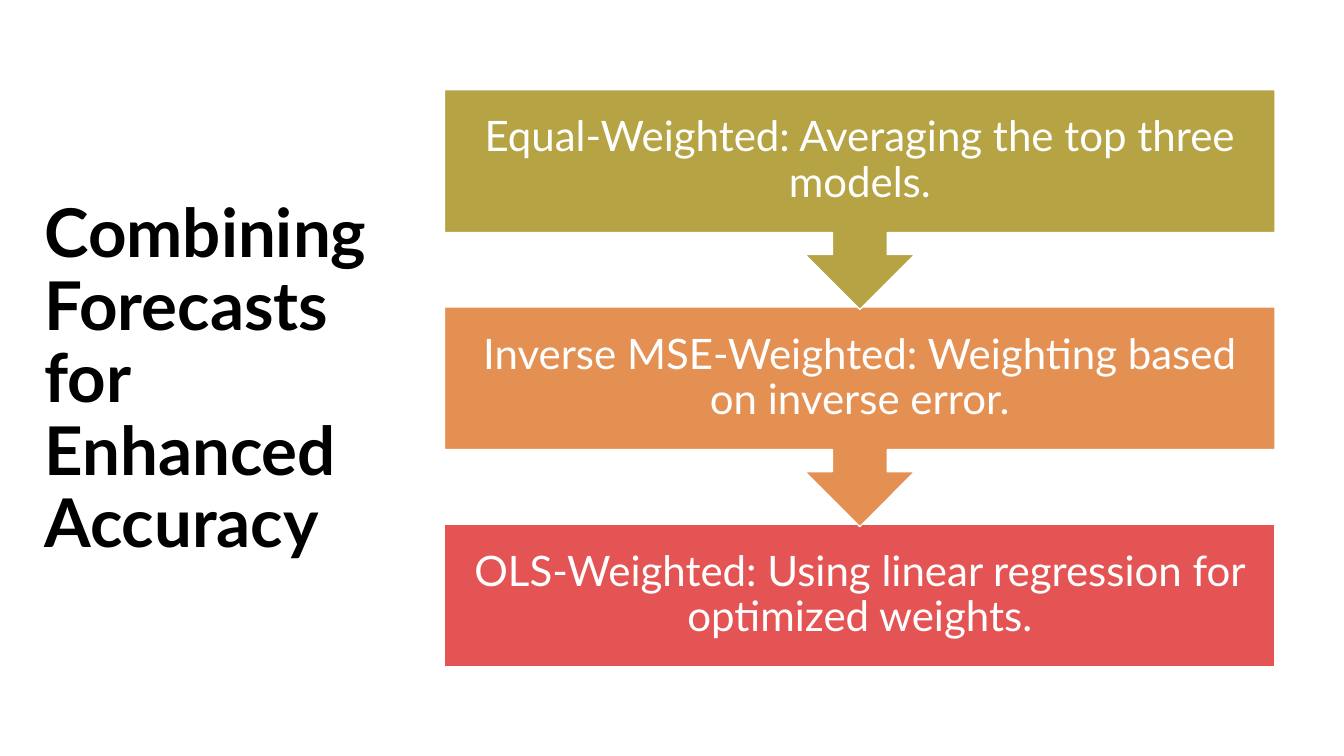
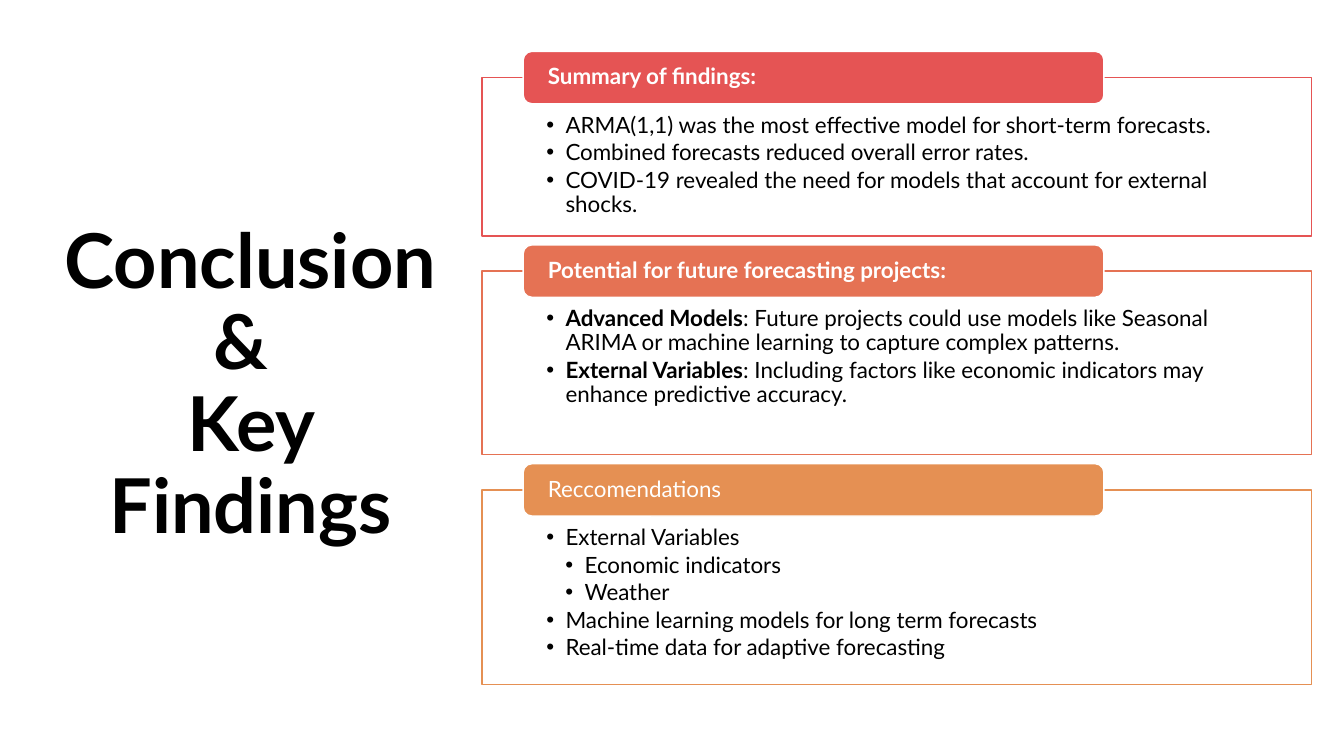
from dataclasses import dataclass

from lxml.etree import SubElement
from pptx import Presentation
from pptx.dml.color import RGBColor
from pptx.enum.shapes import MSO_SHAPE
from pptx.enum.text import MSO_ANCHOR, MSO_AUTO_SIZE, PP_ALIGN
from pptx.oxml.ns import qn
from pptx.presentation import Presentation as Deck
from pptx.shapes.base import BaseShape
from pptx.slide import Slide
from pptx.text.text import TextFrame, _Paragraph as Paragraph
from pptx.util import Inches, Length, Pt


# Shared look
@dataclass(frozen=True)
class Theme:
    font: str = "Lato"
    black: RGBColor = RGBColor(0x00, 0x00, 0x00)
    white: RGBColor = RGBColor(0xFF, 0xFF, 0xFF)
    red: RGBColor = RGBColor(0xE5, 0x54, 0x54)
    coral: RGBColor = RGBColor(0xE5, 0x72, 0x54)
    orange: RGBColor = RGBColor(0xE5, 0x90, 0x53)
    olive: RGBColor = RGBColor(0xB6, 0xA3, 0x43)
    step_size: int = 30
    panel_size: int = 16
    line_spacing: float = 0.9
    bullet_gap: float = 2.4
    outline: int = 1


THEME = Theme()
SLIDE_WIDTH, SLIDE_HEIGHT = Inches(13.33), Inches(7.5)
TITLE_ONLY, COMPARISON = 5, 4  # layouts of the default template


@dataclass(frozen=True)
class Box:
    """A frame in percent of the slide's width and height."""

    left: float
    top: float
    width: float
    height: float

    def frame(self) -> tuple[Length, ...]:
        return (
            Length(round(SLIDE_WIDTH * self.left / 100)),
            Length(round(SLIDE_HEIGHT * self.top / 100)),
            Length(round(SLIDE_WIDTH * self.width / 100)),
            Length(round(SLIDE_HEIGHT * self.height / 100)),
        )


@dataclass(frozen=True)
class Step:
    text: str
    color: RGBColor
    shape_type: MSO_SHAPE = MSO_SHAPE.DOWN_ARROW_CALLOUT


@dataclass(frozen=True)
class Bullet:
    text: str
    lead: str = ""  # bold opening words
    level: int = 0


@dataclass(frozen=True)
class Panel:
    heading: str
    color: RGBColor
    height: float
    bullets: tuple[Bullet, ...]
    bold_heading: bool = True


# Content
STEPS = (
    Step("Equal-Weighted: Averaging the top three models.", THEME.olive),
    Step("Inverse MSE-Weighted: Weighting based on inverse error.", THEME.orange),
    Step("OLS-Weighted: Using linear regression for optimized weights.",
         THEME.red, MSO_SHAPE.RECTANGLE),
)

PANELS = (
    Panel("Summary of findings:", THEME.red, 20.93, (
        Bullet("ARMA(1,1) was the most effective model for short-term forecasts."),
        Bullet("Combined forecasts reduced overall error rates."),
        Bullet("COVID-19 revealed the need for models that account for external shocks."),
    )),
    Panel("Potential for future forecasting projects:", THEME.coral, 24.27, (
        Bullet(": Future projects could use models like Seasonal ARIMA or machine "
               "learning to capture complex patterns.", "Advanced Models"),
        Bullet(": Including factors like economic indicators may enhance "
               "predictive accuracy.", "External Variables"),
    )),
    Panel("Reccomendations", THEME.orange, 25.73, (
        Bullet("External Variables"),
        Bullet("Economic indicators", level=1),
        Bullet("Weather", level=1),
        Bullet("Machine learning models for long term forecasts"),
        Bullet("Real-time data for adaptive forecasting"),
    ), bold_heading=False),
)


# Formatting helpers
def place(shape: BaseShape, box: Box) -> None:
    shape.left, shape.top, shape.width, shape.height = box.frame()


def paint(shape: BaseShape, fill: RGBColor, line: RGBColor) -> None:
    shape.fill.solid()
    shape.fill.fore_color.rgb = fill
    shape.line.color.rgb = line
    shape.line.width = Pt(THEME.outline)


def set_frame(text_frame: TextFrame, anchor: MSO_ANCHOR,
              insets: tuple[float, float, float, float]) -> None:
    """Set wrapping, anchor and the left, top, right and bottom insets in inches."""
    text_frame.word_wrap = True
    text_frame.auto_size = MSO_AUTO_SIZE.NONE
    text_frame.vertical_anchor = anchor
    (text_frame.margin_left, text_frame.margin_top,
     text_frame.margin_right, text_frame.margin_bottom) = map(Inches, insets)


def format_paragraph(paragraph: Paragraph, size: int, color: RGBColor,
                     align: PP_ALIGN = PP_ALIGN.LEFT, bold: bool = False) -> None:
    paragraph.alignment = align
    paragraph.line_spacing = THEME.line_spacing
    paragraph.space_before = Pt(0)
    for run in paragraph.runs:
        run.font.name = THEME.font
        run.font.size = Pt(size)
        run.font.bold = bold
        run.font.color.rgb = color


def add_bullet_mark(paragraph: Paragraph, level: int) -> None:
    indent = Inches(0.19)
    properties = paragraph._p.get_or_add_pPr()
    properties.set("marL", str(indent * (level + 1)))
    properties.set("indent", str(-indent))
    SubElement(properties, qn("a:buFont")).set("typeface", "Arial")
    SubElement(properties, qn("a:buChar")).set("char", "•")


# Drawing functions
def draw_title(slide: Slide, text: str, box: Box, size: int, align: PP_ALIGN) -> None:
    title = slide.shapes.title
    place(title, box)
    title.text_frame.text = text
    set_frame(title.text_frame, MSO_ANCHOR.MIDDLE, (0.1, 0.05, 0.1, 0.05))
    format_paragraph(title.text_frame.paragraphs[0], size, THEME.black, align, bold=True)


def draw_filled_shape(slide: Slide, shape_type: MSO_SHAPE, box: Box,
                      color: RGBColor, text: str) -> BaseShape:
    shape = slide.shapes.add_shape(shape_type, *box.frame())
    shape.shadow.inherit = False
    paint(shape, color, THEME.white)
    shape.text_frame.text = text
    return shape


def draw_step(slide: Slide, step: Step, box: Box) -> None:
    shape = draw_filled_shape(slide, step.shape_type, box, step.color, step.text)
    set_frame(shape.text_frame, MSO_ANCHOR.MIDDLE, (0.23,) * 4)
    format_paragraph(shape.text_frame.paragraphs[0], THEME.step_size,
                     THEME.white, PP_ALIGN.CENTER)


def draw_list(body: BaseShape, panel: Panel, box: Box) -> None:
    place(body, box)
    paint(body, THEME.white, panel.color)
    text_frame = body.text_frame
    set_frame(text_frame, MSO_ANCHOR.TOP, (0.64, 0.36, 0.64, 0.12))
    for index, bullet in enumerate(panel.bullets):
        paragraph = text_frame.add_paragraph() if index else text_frame.paragraphs[0]
        paragraph.text = bullet.lead or bullet.text
        if bullet.lead:
            paragraph.add_run().text = bullet.text
        paragraph.level = bullet.level
        format_paragraph(paragraph, THEME.panel_size, THEME.black)
        paragraph.runs[0].font.bold = bool(bullet.lead)
        paragraph.space_after = Pt(THEME.bullet_gap)
        add_bullet_mark(paragraph, bullet.level)


def draw_heading(slide: Slide, panel: Panel, box: Box) -> None:
    label_box = Box(box.left + 3.08, box.top - 3.47, box.width * 0.7, 6.93)
    label = draw_filled_shape(slide, MSO_SHAPE.ROUNDED_RECTANGLE, label_box,
                              panel.color, panel.heading)
    set_frame(label.text_frame, MSO_ANCHOR.MIDDLE, (0.22, 0, 0.22, 0))
    format_paragraph(label.text_frame.paragraphs[0], THEME.panel_size,
                     THEME.white, bold=panel.bold_heading)


# Slides
def build_combining_slide(presentation: Deck) -> None:
    slide = presentation.slides.add_slide(presentation.slide_layouts[TITLE_ONLY])
    draw_title(slide, "Combining Forecasts for Enhanced Accuracy",
               Box(2.55, 12.53, 28.05, 75.73), 48, PP_ALIGN.LEFT)
    first_top, pitch = 11.87, 28.73
    # Last step first, so that each arrow lies over the step below it
    for row, step in reversed(list(enumerate(STEPS))):
        height = 18.9 if step.shape_type == MSO_SHAPE.RECTANGLE else 29.07
        draw_step(slide, step, Box(33.08, first_top + row * pitch, 61.8, height))


def build_conclusion_slide(presentation: Deck) -> None:
    slide = presentation.slides.add_slide(presentation.slide_layouts[COMPARISON])
    draw_title(slide, "Conclusion & \vKey Findings",
               Box(2.4, 23.6, 32.48, 54.93), 54, PP_ALIGN.CENTER)
    bodies = [shape for shape in slide.placeholders if shape.placeholder_format.idx > 0]
    top, gap = 10.27, 4.67
    for body, panel in zip(bodies, PANELS):
        box = Box(35.85, top, 61.73, panel.height)
        draw_list(body, panel, box)
        draw_heading(slide, panel, box)
        top += panel.height + gap
    for unused in bodies[len(PANELS):]:
        unused.element.getparent().remove(unused.element)


def main() -> None:
    presentation = Presentation()
    presentation.slide_width, presentation.slide_height = SLIDE_WIDTH, SLIDE_HEIGHT
    build_combining_slide(presentation)
    build_conclusion_slide(presentation)
    presentation.save("out.pptx")


if __name__ == "__main__":
    main()
